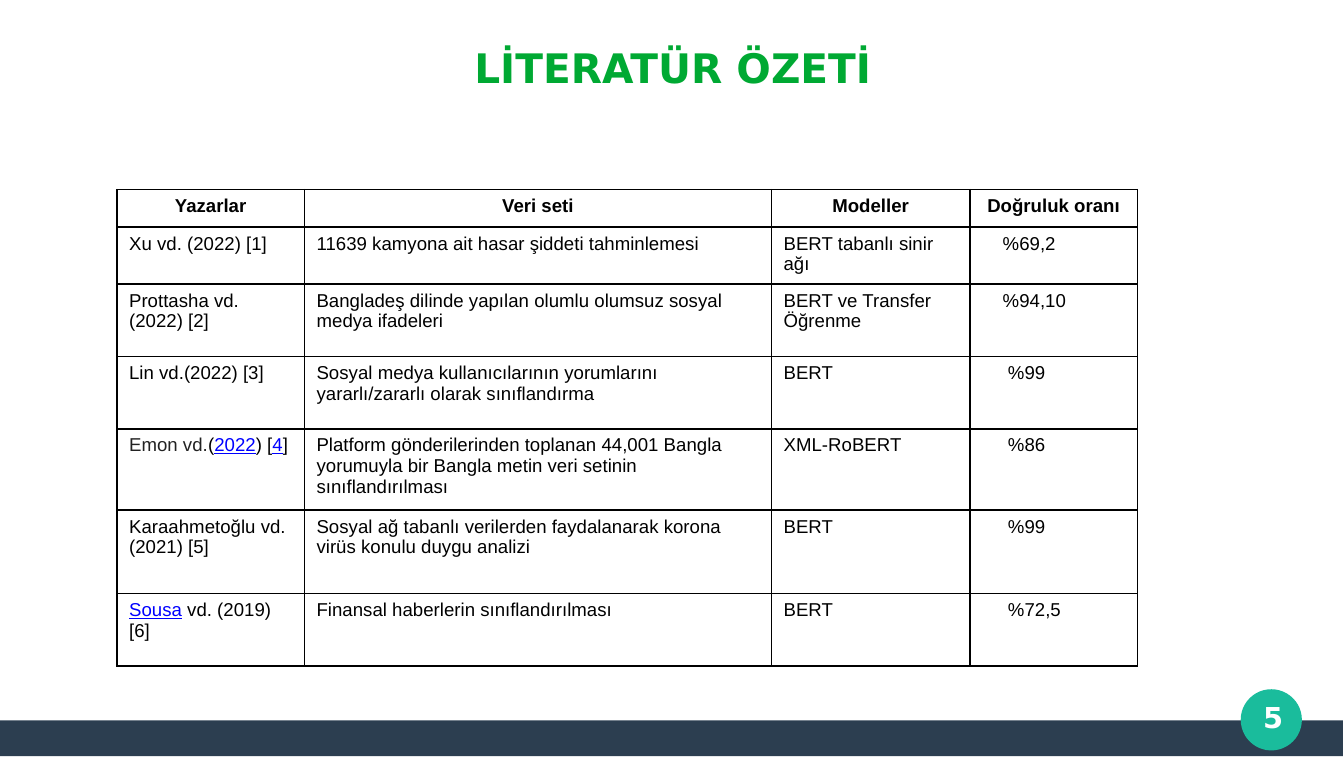
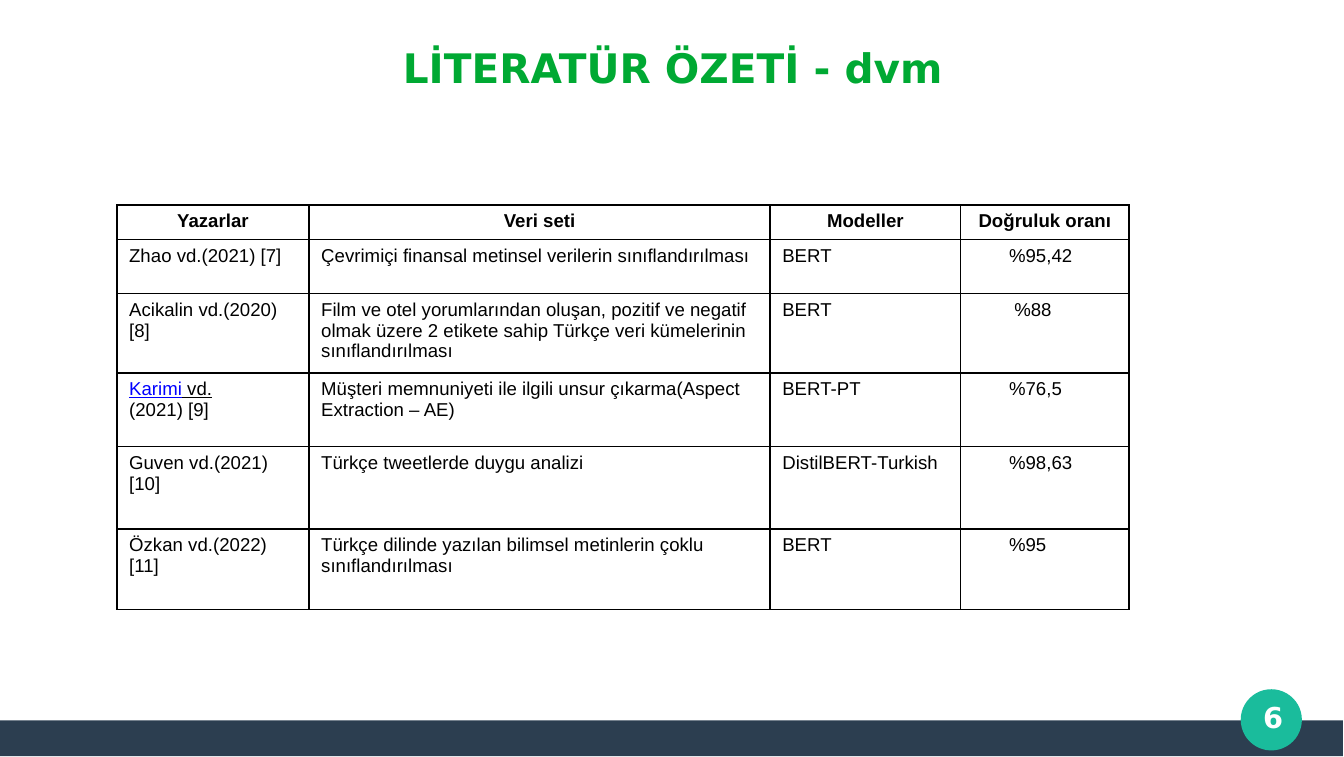
from pptx import Presentation
from pptx.dml.color import RGBColor
from pptx.enum.shapes import MSO_SHAPE
from pptx.enum.text import MSO_ANCHOR, PP_ALIGN
from pptx.oxml import parse_xml
from pptx.oxml.ns import nsdecls
from pptx.util import Pt

# Shared style
GREEN, NAVY, TEAL = "00A933", "2C3E50", "1ABC9C"
BLACK, GREY, WHITE, BLUE = "000000", "222222", "FFFFFF", "0000FF"
HEADING_FONT, BODY_FONT = "DejaVu Sans", "Arial"
LINK = {"color": BLUE, "underline": True}
WIDTH, HEIGHT = 794.2, 447.1
CELL_INSET = 7.2
HEADER = ["Yazarlar", "Veri seti", "Modeller", "Doğruluk oranı"]


def rgb(value):
    return RGBColor.from_string(value)


def write(frame, text, font=BODY_FONT, size=11, color=BLACK, bold=False,
          underline=False, align=PP_ALIGN.LEFT):
    """Text is a string, or a list of paragraphs made of (text, format) spans."""
    paragraphs = [[(text, {})]] if isinstance(text, str) else text
    for index, spans in enumerate(paragraphs):
        para = frame.add_paragraph() if index else frame.paragraphs[0]
        para.alignment = align
        for words, extra in spans:
            span = para.add_run()
            span.text = words
            span.font.name = font
            span.font.size = Pt(size)
            span.font.bold = bold
            span.font.underline = extra.get("underline", underline)
            span.font.color.rgb = rgb(extra.get("color", color))


class Slides:
    def __init__(self):
        self.deck = Presentation()
        self.deck.slide_width, self.deck.slide_height = Pt(WIDTH), Pt(HEIGHT)
        self.slide = None

    def start(self, title, number):
        self.slide = self.deck.slides.add_slide(self.deck.slide_layouts[6])
        # Footer band and number badge
        self.shape(MSO_SHAPE.RECTANGLE, 0, 425.5, 793.6, 21.2, NAVY)
        self.shape(MSO_SHAPE.OVAL, 733.6, 407.5, 35.3, 35.3, TEAL, outline=0.85)
        # Title
        self.text(title, 222.5, 25.2, 350, 28.8, size=24, color=GREEN,
                  align=PP_ALIGN.CENTER)
        # Slide number
        self.text(str(number), 739.4, 410, 27, 28, inset=(7.2, 3.6), size=17,
                  color=WHITE)

    def shape(self, kind, left, top, width, height, color, outline=0):
        shape = self.slide.shapes.add_shape(
            kind, Pt(left), Pt(top), Pt(width), Pt(height))
        shape.shadow.inherit = False
        shape.fill.solid()
        shape.fill.fore_color.rgb = rgb(color)
        if outline:
            shape.line.color.rgb = rgb(color)
            shape.line.width = Pt(outline)
        else:
            shape.line.fill.background()

    def text(self, text, left, top, width, height, inset=(0, 0), **style):
        box = self.slide.shapes.add_textbox(
            Pt(left), Pt(top), Pt(width), Pt(height))
        frame = box.text_frame
        frame.word_wrap = True
        frame.vertical_anchor = MSO_ANCHOR.TOP
        frame.margin_left = frame.margin_right = Pt(inset[0])
        frame.margin_top = frame.margin_bottom = Pt(inset[1])
        write(frame, text, font=HEADING_FONT, bold=True, **style)

    def table(self, top, widths, heights, rows):
        """Each row ends with its accuracy and the indent of that value."""
        frame = self.slide.shapes.add_table(
            len(heights), len(widths), Pt(69.1), Pt(top),
            Pt(sum(widths)), Pt(sum(heights)))
        table = frame.table
        table.first_row = table.horz_banding = False
        for column, width in zip(table.columns, widths):
            column.width = Pt(width)
        for row, height in zip(table.rows, heights):
            row.height = Pt(height)
        for index, text in enumerate(HEADER):
            self.cell(table.cell(0, index), text, bold=True,
                      align=PP_ALIGN.CENTER)
        for line, (*texts, indent) in enumerate(rows, 1):
            for index, text in enumerate(texts):
                last = index == len(texts) - 1
                self.cell(table.cell(line, index), text,
                          indent=indent if last else 0)

    def cell(self, cell, text, indent=0, **style):
        properties = cell._tc.get_or_add_tcPr()
        for side in "LRTB":
            properties.append(parse_xml(
                f'<a:ln{side} {nsdecls("a")} w="{Pt(1)}"><a:solidFill>'
                f'<a:srgbClr val="{BLACK}"/></a:solidFill></a:ln{side}>'))
        cell.fill.background()
        cell.margin_left = Pt(CELL_INSET + indent)
        write(cell.text_frame, text, **style)


def main():
    slides = Slides()

    # Literature summary
    slides.start("LİTERATÜR ÖZETİ", 5)
    slides.table(
        112, [110.8, 276, 117.3, 99], [22.2, 31.9, 42.8, 42.8, 47.9, 49.4, 42.8],
        [
            ["Xu vd. (2022) [1]", "11639 kamyona ait hasar şiddeti tahminlemesi",
             "BERT tabanlı sinir ağı", "%69,2", 12.2],
            ["Prottasha vd. (2022) [2]",
             "Bangladeş dilinde yapılan olumlu olumsuz sosyal medya ifadeleri",
             "BERT ve Transfer Öğrenme", "%94,10", 12.2],
            ["Lin vd.(2022) [3]",
             "Sosyal medya kullanıcılarının yorumlarını yararlı/zararlı olarak "
             "sınıflandırma", "BERT", "%99", 15.3],
            [[[("Emon vd.", {"color": GREY}), ("(", {}), ("2022", LINK),
               (") [", {}), ("4", LINK), ("]", {})]],
             "Platform gönderilerinden toplanan 44,001 Bangla yorumuyla bir "
             "Bangla metin veri setinin sınıflandırılması",
             "XML-RoBERT", "%86", 15.3],
            ["Karaahmetoğlu vd.(2021) [5]",
             "Sosyal ağ tabanlı verilerden faydalanarak korona virüs konulu "
             "duygu analizi", "BERT", "%99", 15.3],
            [[[("Sousa", LINK), (" vd. (2019) [6]", {})]],
             "Finansal haberlerin sınıflandırılması", "BERT", "%72,5", 15.3],
        ])

    # Literature summary, continued
    slides.start("LİTERATÜR ÖZETİ - dvm", 6)
    slides.table(
        121, [113.5, 272.5, 112.6, 99.6], [19.5, 31.9, 44, 43.5, 48.8, 47.6],
        [
            ["Zhao vd.(2021) [7]",
             "Çevrimiçi finansal metinsel verilerin sınıflandırılması",
             "BERT", "%95,42", 21.4],
            ["Acikalin vd.(2020) [8]",
             "Film ve otel yorumlarından oluşan, pozitif ve negatif olmak üzere "
             "2 etikete sahip Türkçe veri kümelerinin sınıflandırılması",
             "BERT", "%88", 24.5],
            [[[("Karimi", LINK), (" vd.", {"underline": True})],
              [("(2021) [9]", {})]],
             "Müşteri memnuniyeti ile ilgili unsur çıkarma(Aspect Extraction – AE)",
             "BERT-PT", "%76,5", 21.4],
            ["Guven vd.(2021) [10]", "Türkçe tweetlerde duygu analizi",
             "DistilBERT-Turkish", "%98,63", 21.4],
            ["Özkan vd.(2022) [11]",
             "Türkçe dilinde yazılan bilimsel metinlerin çoklu sınıflandırılması",
             "BERT", "%95", 21.4],
        ])

    slides.deck.save("out.pptx")


if __name__ == "__main__":
    main()
